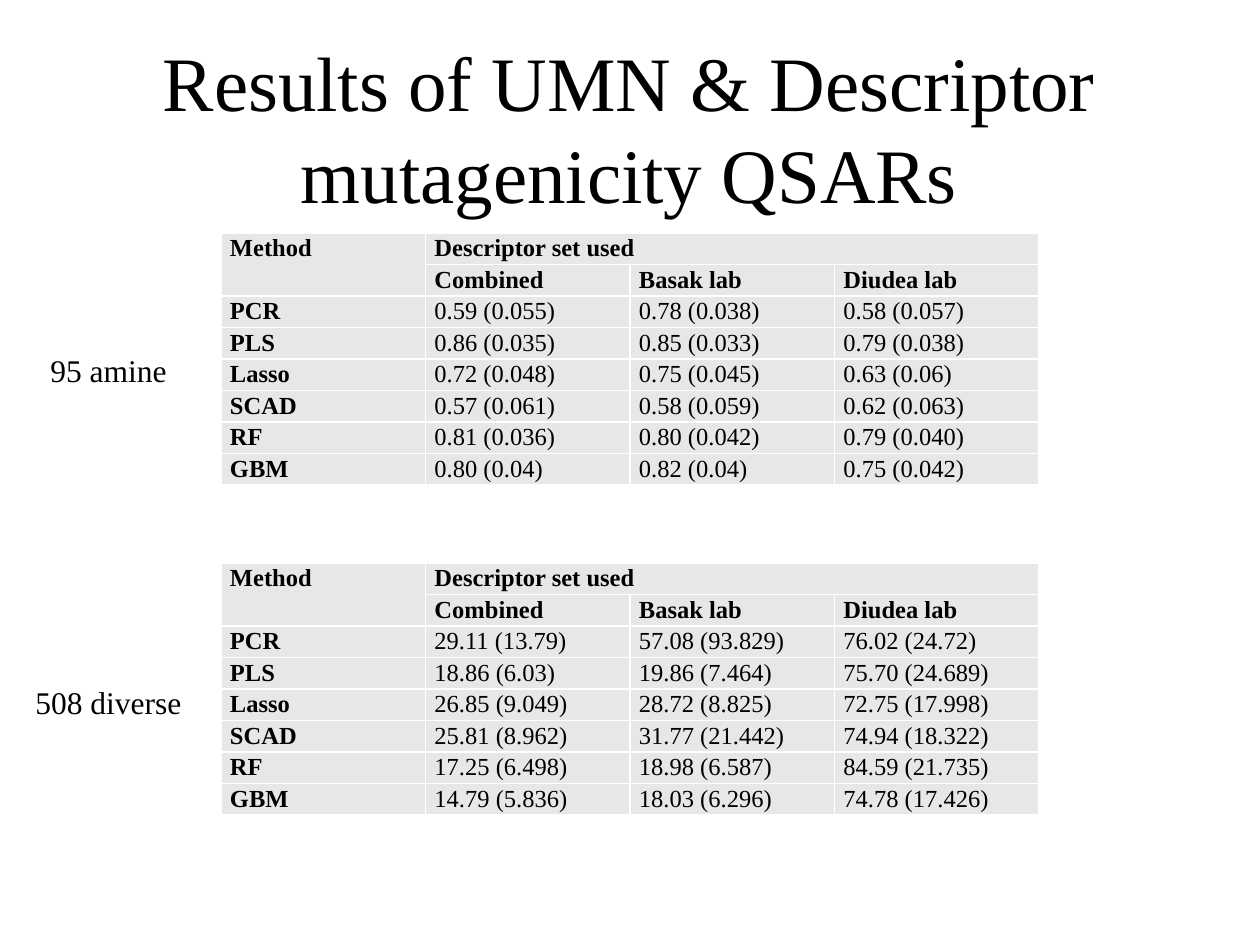
"""Build the slide comparing mutagenicity QSAR results for two compound sets."""
import pptx
import pptx.dml.color
import pptx.enum.text
import pptx.oxml
import pptx.oxml.ns
import pptx.util

COLORS = {"text": "000000", "cell": "E7E7E7", "border": "FFFFFF"}
METHODS = ["PCR", "PLS", "Lasso", "SCAD", "RF", "GBM"]
DESCRIPTOR_SETS = ["Combined", "Basak lab", "Diudea lab"]
AMINE_RESULTS = [
    ["0.59 (0.055)", "0.78 (0.038)", "0.58 (0.057)"],
    ["0.86 (0.035)", "0.85 (0.033)", "0.79 (0.038)"],
    ["0.72 (0.048)", "0.75 (0.045)", "0.63 (0.06)"],
    ["0.57 (0.061)", "0.58 (0.059)", "0.62 (0.063)"],
    ["0.81 (0.036)", "0.80 (0.042)", "0.79 (0.040)"],
    ["0.80 (0.04)", "0.82 (0.04)", "0.75 (0.042)"],
]
DIVERSE_RESULTS = [
    ["29.11 (13.79)", "57.08 (93.829)", "76.02 (24.72)"],
    ["18.86 (6.03)", "19.86 (7.464)", "75.70 (24.689)"],
    ["26.85 (9.049)", "28.72 (8.825)", "72.75 (17.998)"],
    ["25.81 (8.962)", "31.77 (21.442)", "74.94 (18.322)"],
    ["17.25 (6.498)", "18.98 (6.587)", "84.59 (21.735)"],
    ["14.79 (5.836)", "18.03 (6.296)", "74.78 (17.426)"],
]


def px(length):
    return pptx.util.Emu(round(length * 914400 / 126))


class ResultsSlide:
    font = "Times New Roman"
    line_spacing = 1.07

    def __init__(self, slide):
        self.slide = slide

    def add_text(self, paragraph, text, size, bold=False):
        run = paragraph.add_run()
        run.text = text
        run.font.name = self.font
        run.font.size = pptx.util.Pt(size)
        run.font.bold = bold
        run.font.color.rgb = pptx.dml.color.RGBColor.from_string(COLORS["text"])

    def title(self, left, top, width, height, text):
        frame = self.slide.shapes.add_textbox(px(left), px(top), px(width), px(height)).text_frame
        frame.word_wrap = True
        frame.vertical_anchor = pptx.enum.text.MSO_ANCHOR.MIDDLE
        heading = frame.paragraphs[0]
        heading.alignment = pptx.enum.text.PP_ALIGN.CENTER
        self.add_text(heading, text, 44)

    def label(self, left, top, width, height, text):
        frame = self.slide.shapes.add_textbox(px(left), px(top), px(width), px(height)).text_frame
        frame.word_wrap = False
        frame.auto_size = pptx.enum.text.MSO_AUTO_SIZE.SHAPE_TO_FIT_TEXT
        caption = frame.paragraphs[0]
        caption.line_spacing = self.line_spacing
        caption.space_after = pptx.util.Pt(8)
        self.add_text(caption, text, 18)

    def style_cell(self, cell):
        cell.margin_left = cell.margin_right = px(9)
        cell.margin_top = cell.margin_bottom = 0
        cell.fill.solid()
        cell.fill.fore_color.rgb = pptx.dml.color.RGBColor.from_string(COLORS["cell"])
        properties = cell._tc.get_or_add_tcPr()
        for position, side in enumerate("LRTB"):
            properties.insert(position, pptx.oxml.parse_xml(
                f'<a:ln{side} {pptx.oxml.ns.nsdecls("a")} w="12700"><a:solidFill>'
                f'<a:srgbClr val="{COLORS["border"]}"/></a:solidFill></a:ln{side}>'))

    def table(self, left, top, width, height, results):
        rows = [["Method", "Descriptor set used", "", ""], ["", *DESCRIPTOR_SETS]]
        rows += [[method, *values] for method, values in zip(METHODS, results)]
        grid = self.slide.shapes.add_table(
            len(rows), len(rows[0]), px(left), px(top), px(width), px(height)).table
        grid.first_row = grid.horz_banding = False
        for row_index, row in enumerate(rows):
            for column, text in enumerate(row):
                cell = grid.cell(row_index, column)
                self.style_cell(cell)
                if text:
                    entry = cell.text_frame.paragraphs[0]
                    entry.line_spacing = self.line_spacing
                    self.add_text(entry, text, 14, bold=row_index < 2 or column == 0)
        grid.cell(0, 0).merge(grid.cell(1, 0))
        grid.cell(0, 1).merge(grid.cell(0, 3))


def main():
    deck = pptx.Presentation()
    deck.slide_width, deck.slide_height = px(1260), px(945)
    page = ResultsSlide(deck.slides.add_slide(deck.slide_layouts[6]))
    page.title(94, -10, 1071, 273, "Results of UMN & Descriptor mutagenicity QSARs")
    page.table(221, 233, 818, 232, AMINE_RESULTS)
    page.table(221, 563, 818, 232, DIVERSE_RESULTS)
    page.label(38, 342, 142, 51, "95 amine")
    page.label(23, 674, 172, 51, "508 diverse")
    deck.save("out.pptx")


if __name__ == "__main__":
    main()
